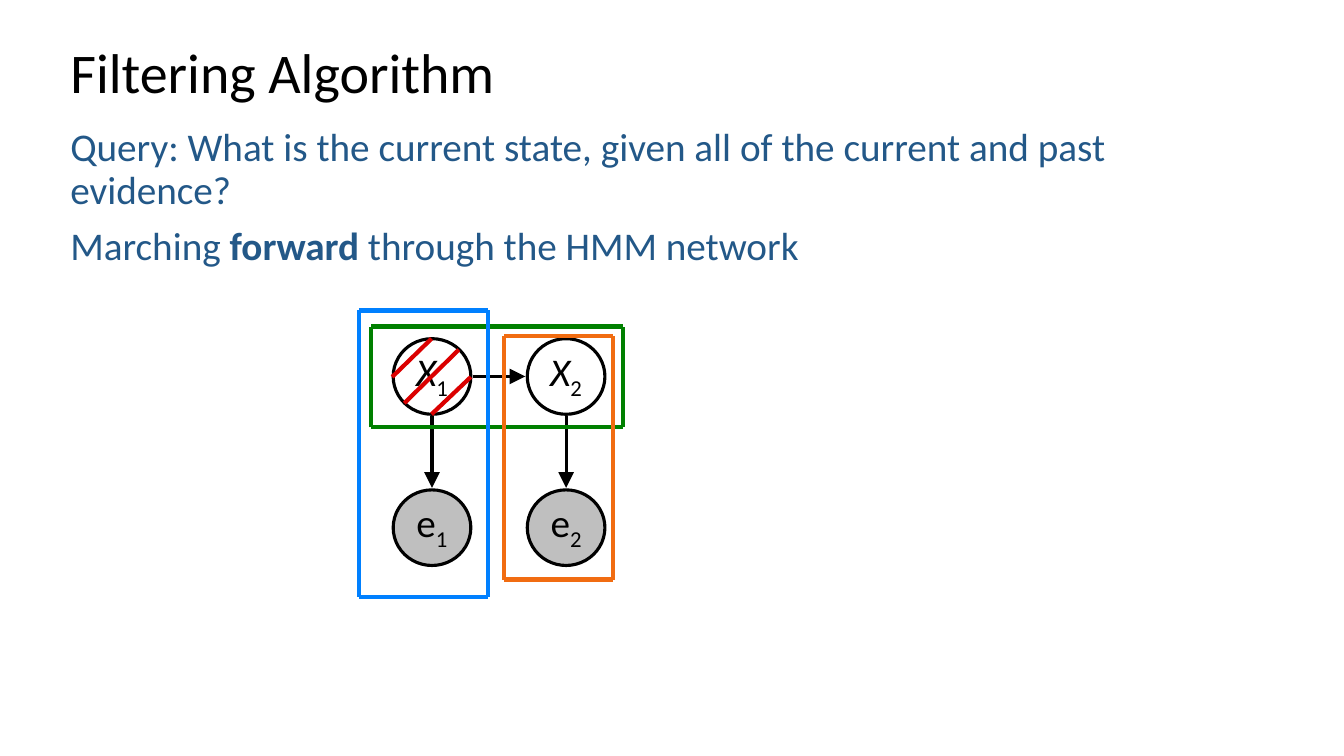
from lxml import etree
from pptx import Presentation
from pptx.dml.color import RGBColor
from pptx.enum.shapes import MSO_CONNECTOR, MSO_SHAPE
from pptx.enum.text import MSO_ANCHOR, PP_ALIGN
from pptx.oxml.ns import qn
from pptx.util import Inches, Pt

STRAIGHT = MSO_CONNECTOR.STRAIGHT
OVAL = MSO_SHAPE.OVAL
TOP, MIDDLE = MSO_ANCHOR.TOP, MSO_ANCHOR.MIDDLE
CENTER = PP_ALIGN.CENTER

BLACK = RGBColor(0x00, 0x00, 0x00)
WHITE = RGBColor(0xFF, 0xFF, 0xFF)
GRAY = RGBColor(0xBF, 0xBF, 0xBF)
NAVY = RGBColor(0x23, 0x58, 0x88)
RED = RGBColor(0xDB, 0x00, 0x00)
GREEN = RGBColor(0x00, 0x80, 0x00)
ORANGE = RGBColor(0xF1, 0x6C, 0x11)
BLUE = RGBColor(0x00, 0x80, 0xFF)

FONT = "Calibri"
NODE_WIDTH, NODE_HEIGHT = 0.77, 0.75
COLUMNS = {"1": 3.9, "2": 5.23}
STATE_TOP, EVIDENCE_TOP = 3.36, 4.86
GAP = 0.02

STRIKES = [(3.89, 3.74, 4.28, 3.36), (4.01, 4, 4.55, 3.47), (4.28, 4.11, 4.67, 3.74)]
FRAMES = [
    (3.68, 3.24, 6.18, 4.24, GREEN),
    (5, 3.33, 6.08, 5.75, ORANGE),
    (3.56, 3.08, 4.84, 5.92, BLUE),
]
BODY = [
    [("Query: What is the current state, given all of the current and past evidence?", False)],
    [("Marching ", False), ("forward", True), (" through the HMM network", False)],
]


def set_format(target, values):
    for name, value in values.items():
        setattr(target, name, value)


def add_span(para, text, size, color, **extra):
    span = para.add_run()
    span.text = text
    set_format(span.font, {"name": FONT, "size": Pt(size), **extra})
    span.font.color.rgb = color
    return span


def set_line(shape, color, width):
    shape.line.color.rgb = color
    shape.line.width = Pt(width)


def add_text(page, left, top, width, height, paragraphs, size, color, anchor):
    box = page.shapes.add_textbox(Inches(left), Inches(top), Inches(width), Inches(height))
    frame = box.text_frame
    set_format(frame, {"word_wrap": True, "vertical_anchor": anchor})
    for index, spans in enumerate(paragraphs):
        para = frame.add_paragraph() if index else frame.paragraphs[0]
        set_format(para, {"line_spacing": 0.9, "space_before": Pt(10 if index else 0)})
        for text, bold in spans:
            add_span(para, text, size, color, bold=bold)


def add_node(page, left, top, letter, number, fill, italic):
    node = page.shapes.add_shape(
        OVAL, Inches(left), Inches(top), Inches(NODE_WIDTH), Inches(NODE_HEIGHT))
    node.shadow.inherit = False
    node.fill.solid()
    node.fill.fore_color.rgb = fill
    set_line(node, BLACK, 2.25)
    frame = node.text_frame
    set_format(frame, {
        "word_wrap": False, "vertical_anchor": MIDDLE,
        "margin_left": Inches(0.1), "margin_right": Inches(0.1),
        "margin_top": 0, "margin_bottom": Inches(0.05),
    })
    para = frame.paragraphs[0]
    para.alignment = CENTER
    add_span(para, letter, 28, BLACK, italic=italic)
    subscript = add_span(para, number, 28, BLACK, italic=False)
    subscript.font._element.set("baseline", "-25000")


def add_line(page, x1, y1, x2, y2, color, width, arrow=False):
    line = page.shapes.add_connector(STRAIGHT, Inches(x1), Inches(y1), Inches(x2), Inches(y2))
    set_line(line, color, width)
    if arrow:
        etree.SubElement(line.line._get_or_add_ln(), qn("a:tailEnd"),
                         type="triangle", w="lg", len="lg")
    etree.SubElement(line._element.spPr, qn("a:effectLst"))


def add_frame(page, left, top, right, bottom, color):
    for y in (bottom, top):
        add_line(page, left, y, right, y, color, 3)
    for x in (left, right):
        add_line(page, x, bottom, x, top, color, 3)


def add_network(page):
    for number, left in COLUMNS.items():
        add_node(page, left, STATE_TOP, "X", number, WHITE, True)
        add_node(page, left, EVIDENCE_TOP, "e", number, GRAY, False)
        center = left + NODE_WIDTH / 2
        add_line(page, center, STATE_TOP + NODE_HEIGHT + GAP,
                 center, EVIDENCE_TOP - GAP, BLACK, 2.25, arrow=True)
    middle = STATE_TOP + NODE_HEIGHT / 2
    add_line(page, COLUMNS["1"] + NODE_WIDTH + GAP, middle,
             COLUMNS["2"] - GAP, middle, BLACK, 2.25, arrow=True)


def main():
    deck = Presentation()
    set_format(deck, {"slide_width": Inches(13.33), "slide_height": Inches(7.5)})
    page = deck.slides.add_slide(deck.slide_layouts[6])
    add_text(page, 0.6, 0.4, 11.5, 0.69, [[("Filtering Algorithm", False)]], 40, BLACK, MIDDLE)
    add_network(page)
    for strike in STRIKES:
        add_line(page, *strike, RED, 3)
    for frame in FRAMES:
        add_frame(page, *frame)
    add_text(page, 0.6, 1.22, 11.5, 2.23, BODY, 28, NAVY, TOP)
    deck.save("out.pptx")


if __name__ == "__main__":
    main()
